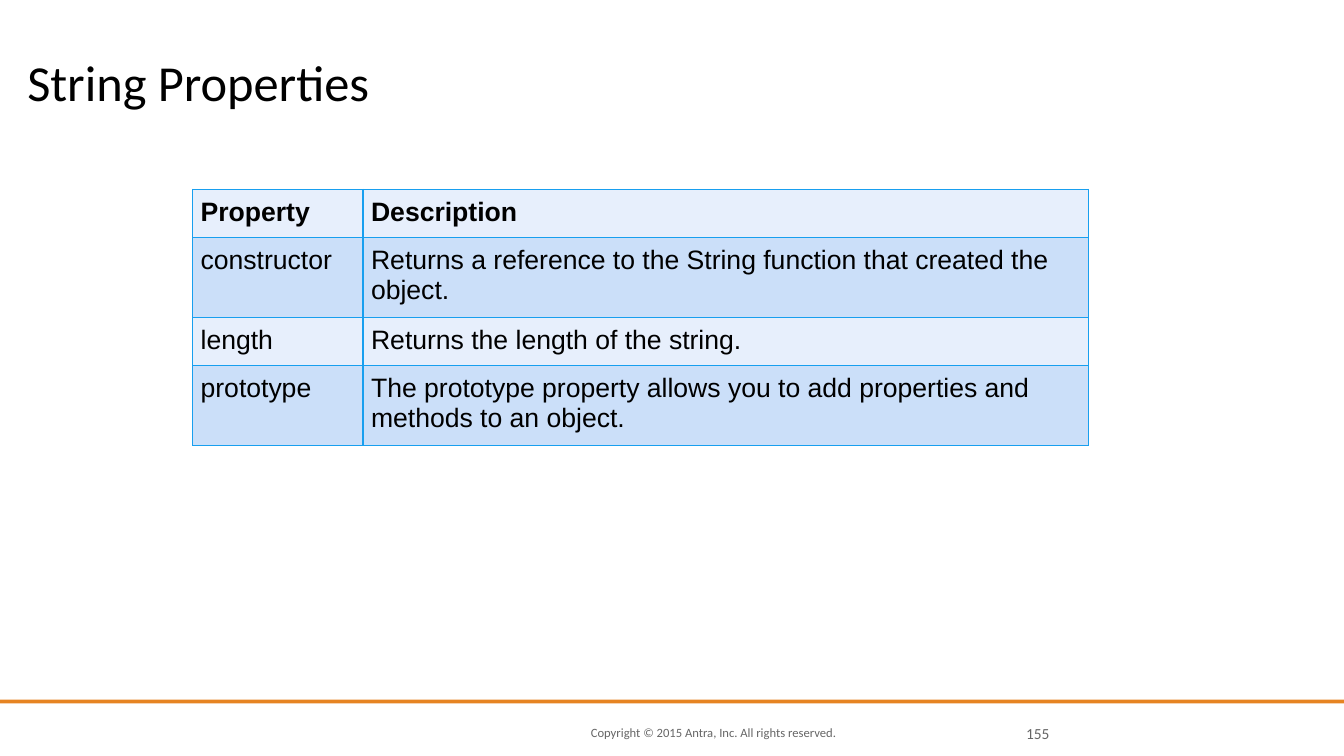
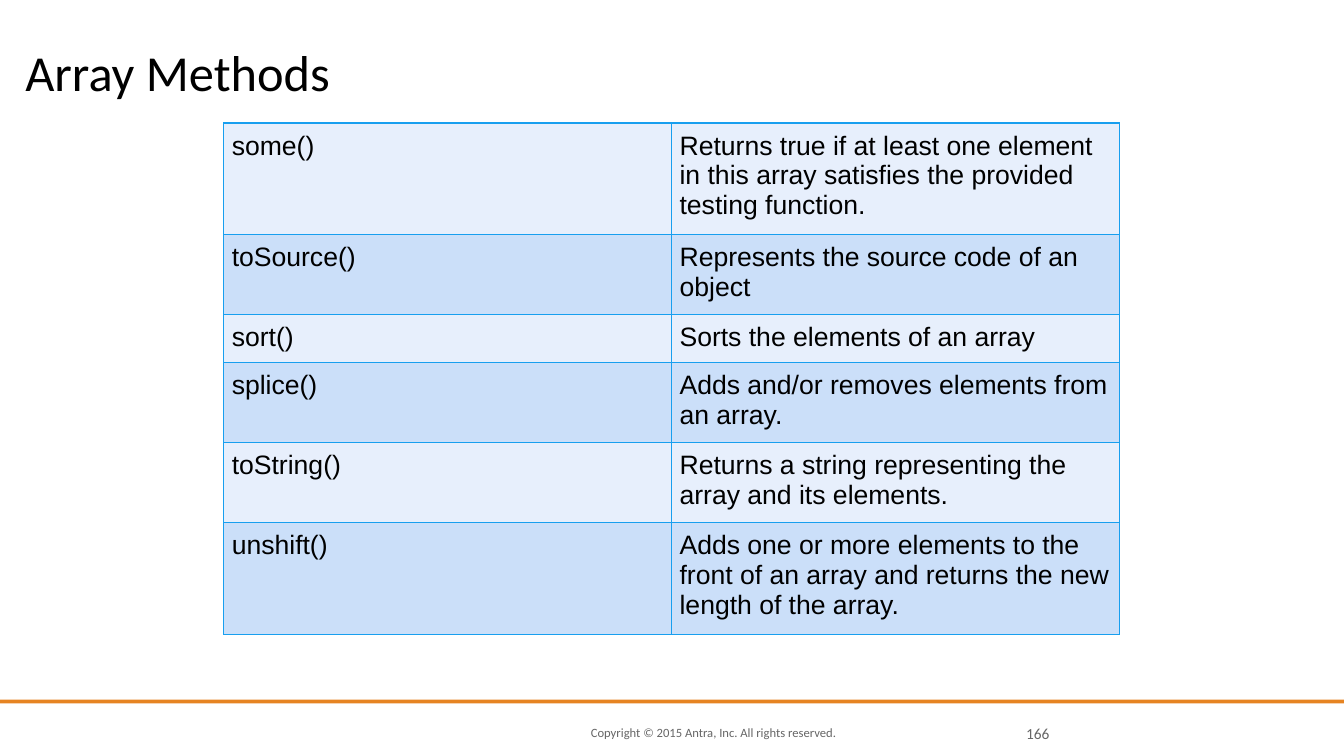
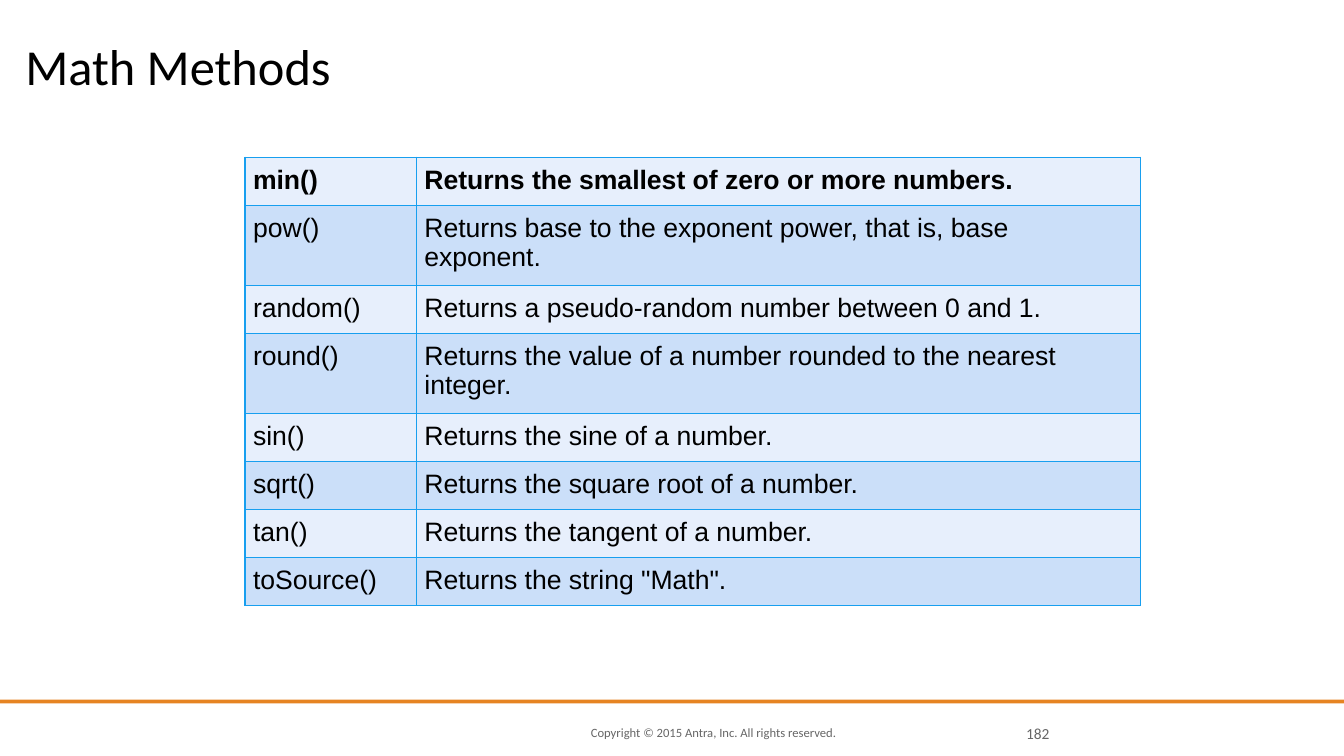
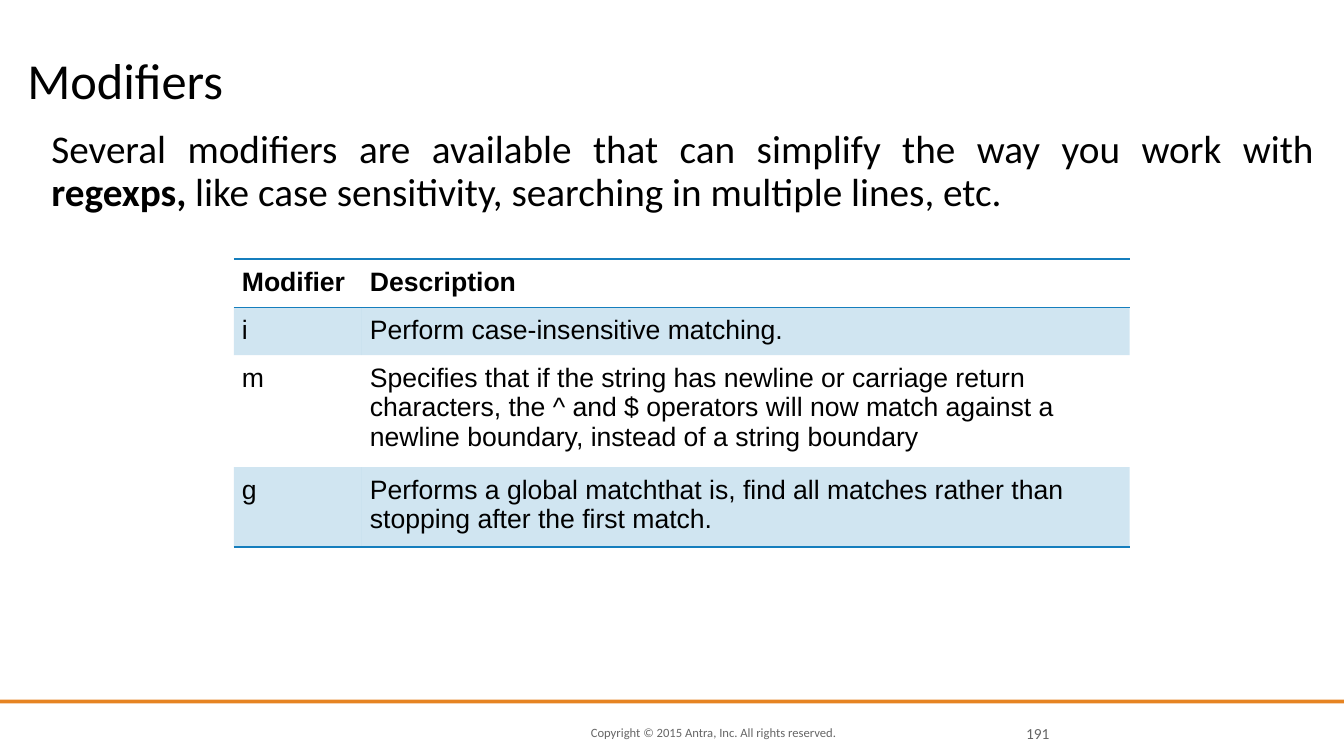
from dataclasses import dataclass
from lxml.etree import SubElement
from pptx import Presentation
from pptx.dml.color import RGBColor
from pptx.enum.shapes import MSO_SHAPE
from pptx.enum.text import MSO_ANCHOR, MSO_AUTO_SIZE, PP_ALIGN
from pptx.oxml.ns import qn
from pptx.util import Inches, Pt


@dataclass(frozen=True)
class Theme:
    ink: str = "000000"
    grey: str = "666666"
    band: str = "E68422"
    grid: str = "189FEF"
    pale: str = "E7EFFC"
    sky: str = "CBDFF9"
    blue: str = "157EBD"
    sans: str = "Calibri"
    cell: str = "Arial"
    title: int = 36
    body: int = 28
    table: int = 19
    page: int = 11
    note: int = 9


T = Theme()
deck = Presentation()
deck.slide_width, deck.slide_height = Inches(13.33), Inches(7.5)
lay = deck.slide_layouts[5]


def area(x, y, w, h):
    """Turn percentages of the slide into lengths."""
    wide, high = deck.slide_width / 100, deck.slide_height / 100
    return int(x * wide), int(y * high), int(w * wide), int(h * high)


def write(frame, runs, size, color, name=T.sans, pad=0, **form):
    """Fill a text frame or cell with one paragraph of (text, bold) runs."""
    for side in ("left", "right", "top", "bottom"):
        setattr(frame, "margin_" + side, Inches(pad))
    frame.word_wrap = True
    frame.vertical_anchor = form.pop("anchor", MSO_ANCHOR.TOP)
    par = getattr(frame, "text_frame", frame).paragraphs[0]
    for key, val in form.items():
        setattr(par, key, val)
    for text, bold in runs:
        run = par.add_run()
        run.text = text
        look = {"name": name, "size": Pt(size), "bold": bold}
        for key, val in look.items():
            setattr(run.font, key, val)
        run.font.color.rgb = RGBColor.from_string(color)


# Content: title spot, page, and a table of two columns
pages = [
    dict(title="String Properties", spot=(2.03, 5.07, 91.3, 9.6), page="155",
         at=(14.33, 25.07), first=12.68, head=True, just=True, rows=[
             ("Property", "Description"),
             ("constructor", "Returns a reference to the String function that created the object."),
             ("length", "Returns the length of the string."),
             ("prototype", "The prototype property allows you to add properties and methods to an object."),
         ]),
    dict(title="Array Methods", spot=(1.88, 4.4, 91.3, 8.93), page="166",
         at=(16.65, 16.27), first=33.32, just=True, rows=[
             ("some()", "Returns true if at least one element in this array satisfies the provided testing function."),
             ("toSource()", "Represents the source code of an object"),
             ("sort()", "Sorts the elements of an array"),
             ("splice()", "Adds and/or removes elements from an array."),
             ("toString()", "Returns a string representing the array and its elements."),
             ("unshift()", "Adds one or more elements to the front of an array and returns the new length of the array."),
         ]),
    dict(title="Math Methods", spot=(1.88, 3.73, 91.3, 8.93), page="182",
         at=(18.23, 20.8), first=12.75, head=True, rows=[
             ("min()", "Returns the smallest of zero or more numbers."),
             ("pow()", "Returns base to the exponent power, that is, base exponent."),
             ("random()", "Returns a pseudo-random number between 0 and 1."),
             ("round()", "Returns the value of a number rounded to the nearest integer."),
             ("sin()", "Returns the sine of a number."),
             ("sqrt()", "Returns the square root of a number."),
             ("tan()", "Returns the tangent of a number."),
             ("toSource()", 'Returns the string "Math".'),
         ]),
    dict(title="Modifiers", spot=(2.03, 5.47, 91.3, 8.93), page="191",
         at=(17.4, 34.27), first=9.53, head=True, light=True,
         intro=[
             ("Several modifiers are available that can simplify the way you work with ", False),
             ("regexps,", True),
             (" like case sensitivity, searching in multiple lines, etc.", False),
         ],
         rows=[
             ("Modifier", "Description"),
             ("i", "Perform case-insensitive matching."),
             ("m", "Specifies that if the string has newline or carriage return characters, the ^ and $ "
                   "operators will now match against a newline boundary, instead of a string boundary"),
             ("g", "Performs a global matchthat is, find all matches rather than stopping after the first match."),
         ]),
]
SPAN, ROW = 66.65, 5.47

for num, item in enumerate(pages):
    slide = deck.slides.add_slide(lay)
    shapes = slide.shapes

    # Shared band and copyright line, moved to the layout once
    if num == 0:
        band = shapes.add_shape(MSO_SHAPE.RECTANGLE, *area(0, 92.53, 100, 0.53))
        band.shadow.inherit = False
        band.fill.solid()
        band.fill.fore_color.rgb = RGBColor.from_string(T.band)
        band.line.fill.background()
        note = shapes.add_textbox(*area(43.96, 95.6, 22.88, 2.67))
        write(note.text_frame, [("Copyright © 2015 Antra, Inc. All rights reserved.", False)],
              T.note, T.grey, anchor=MSO_ANCHOR.MIDDLE)
        for part in (band, note):
            lay.shapes.element.append(part.element)

    # Title
    title = shapes.title
    title.left, title.top, title.width, title.height = area(*item["spot"])
    title.text_frame.auto_size = MSO_AUTO_SIZE.NONE
    write(title.text_frame, [(item["title"], False)], T.title, T.ink,
          anchor=MSO_ANCHOR.BOTTOM, alignment=PP_ALIGN.LEFT, line_spacing=0.8)

    # Introduction
    if "intro" in item:
        intro = shapes.add_textbox(*area(3.83, 17.2, 93.92, 16))
        write(intro.text_frame, item["intro"], T.body, T.ink,
              alignment=PP_ALIGN.JUSTIFY, line_spacing=0.9)

    # Page number
    page = shapes.add_textbox(*area(74.94, 95.6, 3.15, 2.67))
    write(page.text_frame, [(item["page"], False)], T.page, T.grey,
          anchor=MSO_ANCHOR.MIDDLE, alignment=PP_ALIGN.RIGHT)

    # Table
    rows, light = item["rows"], item.get("light", False)
    count = len(rows)
    table = shapes.add_table(count, 2, *area(*item["at"], SPAN, ROW * count)).table
    table.first_row = item.get("head", False)
    table.horz_banding = False
    for col, share in zip(table.columns, (item["first"], SPAN - item["first"])):
        col.width = area(0, 0, share, 0)[2]
    rules = {0, 1, count} if light else set(range(count + 1))
    tint = T.blue if light else T.grid
    tones = (None, T.blue) if light else (T.pale, T.sky)

    for r, line in enumerate(rows):
        bold = r == 0 and table.first_row
        for c, text in enumerate(line):
            cell = table.cell(r, c)
            just = item.get("just") and c == 0 and not bold
            write(cell, [(text, bold)], T.table, T.ink, T.cell, 0.08,
                  alignment=PP_ALIGN.JUSTIFY if just else PP_ALIGN.LEFT)

            # Cell borders
            prop = cell._tc.get_or_add_tcPr()
            sides = {"L": not light, "R": not light, "T": r in rules, "B": r + 1 in rules}
            for side, drawn in sides.items():
                edge = SubElement(prop, qn("a:ln" + side), w=str(Pt(1)))
                fill = SubElement(edge, qn("a:solidFill" if drawn else "a:noFill"))
                if drawn:
                    SubElement(fill, qn("a:srgbClr"), val=tint)

            # Banded fill, see-through on the light table
            tone = tones[r % 2]
            if tone is None:
                cell.fill.background()
                continue
            cell.fill.solid()
            cell.fill.fore_color.rgb = RGBColor.from_string(tone)
            if light:
                color = prop.find(qn("a:solidFill")).find(qn("a:srgbClr"))
                SubElement(color, qn("a:alpha"), val="20000")

deck.save("out.pptx")
